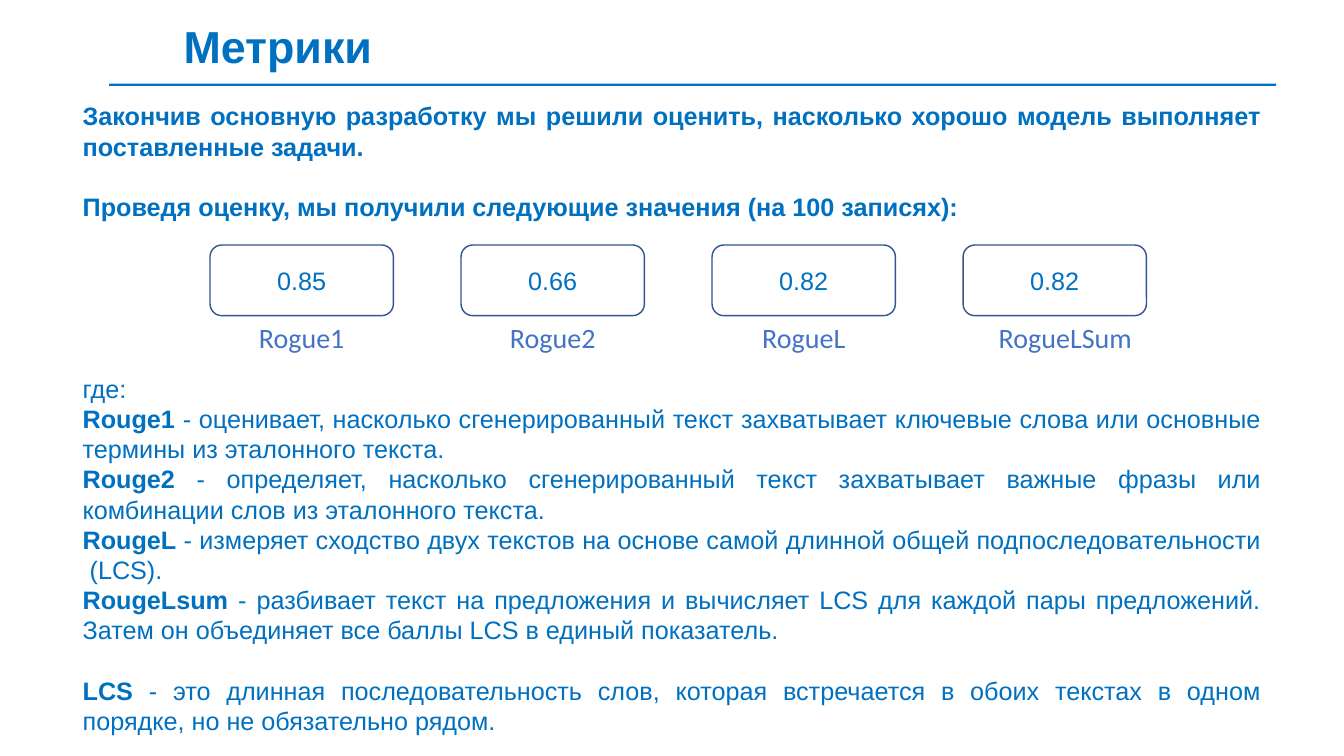
import pptx
import pptx.dml.color
import pptx.enum.shapes
import pptx.enum.text
import pptx.util

Pt = pptx.util.Pt
ALIGN = pptx.enum.text.PP_ALIGN
SHAPE = pptx.enum.shapes.MSO_SHAPE

BLUE = "0070C0"
LABEL_BLUE = "4472C4"
OUTLINE = "325491"
WHITE = "FFFFFF"
LINE = 21.6

# Label, value, label width
METRICS = [
    ("Rogue1", "0.85", 94.5),
    ("Rogue2", "0.66", 94.5),
    ("RogueL", "0.82", 94.5),
    ("RogueLSum", "0.82", 109.5),
]

# Bold part, regular part, space before
INTRO = [
    ("Закончив основную разработку мы решили оценить, насколько хорошо "
     "модель выполняет поставленные задачи.", "", 0),
    ("Проведя оценку, мы получили следующие значения (на 100 записях):",
     "", LINE),
]
DEFINITIONS = [
    ("", "где:", 0),
    ("Rouge1", " - оценивает, насколько сгенерированный текст захватывает "
     "ключевые слова или основные термины из эталонного текста.", 0),
    ("Rouge2", " - определяет, насколько сгенерированный текст захватывает "
     "важные фразы или комбинации слов из эталонного текста.", 0),
    ("RougeL", " - измеряет сходство двух текстов на основе самой длинной "
     "общей подпоследовательности  (LCS).", 0),
    ("RougeLsum", " - разбивает текст на предложения и вычисляет LCS для "
     "каждой пары предложений. Затем он объединяет все баллы LCS в единый "
     "показатель.", 0),
    ("LCS", " - это длинная последовательность слов, которая встречается в "
     "обоих текстах в одном порядке, но не обязательно рядом.", LINE),
]


def rgb(color):
    return pptx.dml.color.RGBColor.from_string(color)


def set_font(p, size, color=BLUE, name="Arial", bold=False):
    p.font.size = Pt(size)
    p.font.name = name
    p.font.bold = bold
    p.font.color.rgb = rgb(color)


def add_shape(slide, kind, left, top, width, height, fill, line=None):
    sp = slide.shapes.add_shape(kind, Pt(left), Pt(top), Pt(width), Pt(height))
    sp.shadow.inherit = False
    sp.fill.solid()
    sp.fill.fore_color.rgb = rgb(fill)
    if line:
        sp.line.color.rgb = rgb(line)
        sp.line.width = Pt(1)
    else:
        sp.line.fill.background()
    return sp


def add_text_frame(slide, left, top, width, height):
    sp = slide.shapes.add_textbox(Pt(left), Pt(top), Pt(width), Pt(height))
    tf = sp.text_frame
    tf.word_wrap = True
    return tf


def add_title(slide, text):
    add_shape(slide, SHAPE.RECTANGLE, 78, 59.8, 833.5, 1.5, BLUE)
    p = add_text_frame(slide, 124, 10, 787.5, 46).paragraphs[0]
    p.text = text
    set_font(p, 32, bold=True)


def add_body(slide, top, height, items):
    """Add justified paragraphs, each with a bold start and a regular rest."""
    tf = add_text_frame(slide, 52, top, 856, height)
    for i, (term, rest, before) in enumerate(items):
        p = tf.add_paragraph() if i else tf.paragraphs[0]
        p.alignment = ALIGN.JUSTIFY
        p.line_spacing = Pt(LINE)
        p.space_before = Pt(before)
        set_font(p, 18)
        for text, bold in ((term, True), (rest, False)):
            if text:
                r = p.add_run()
                r.text = text
                r.font.bold = bold


def add_metric(slide, left, label, value, label_width):
    sp = add_shape(slide, SHAPE.ROUNDED_RECTANGLE, left, 175, 131, 50.5,
                   WHITE, OUTLINE)
    tf = sp.text_frame
    tf.vertical_anchor = pptx.enum.text.MSO_ANCHOR.MIDDLE
    p = tf.paragraphs[0]
    p.text = value
    p.alignment = ALIGN.CENTER
    set_font(p, 18)

    p = add_text_frame(slide, left + 18.3, 225.5, label_width, 31.5).paragraphs[0]
    p.text = label
    p.alignment = ALIGN.CENTER
    set_font(p, 20, LABEL_BLUE, "Calibri")


def main():
    prs = pptx.Presentation()
    prs.slide_width = Pt(960)
    prs.slide_height = Pt(540)
    slide = prs.slides.add_slide(prs.slide_layouts[6])
    add_title(slide, "Метрики")
    add_body(slide, 68.4, 93.6, INTRO)
    add_body(slide, 262.8, 266.4, DEFINITIONS)
    for i, metric in enumerate(METRICS):
        add_metric(slide, 150 + i * 179.3, *metric)
    prs.save("out.pptx")


if __name__ == "__main__":
    main()
